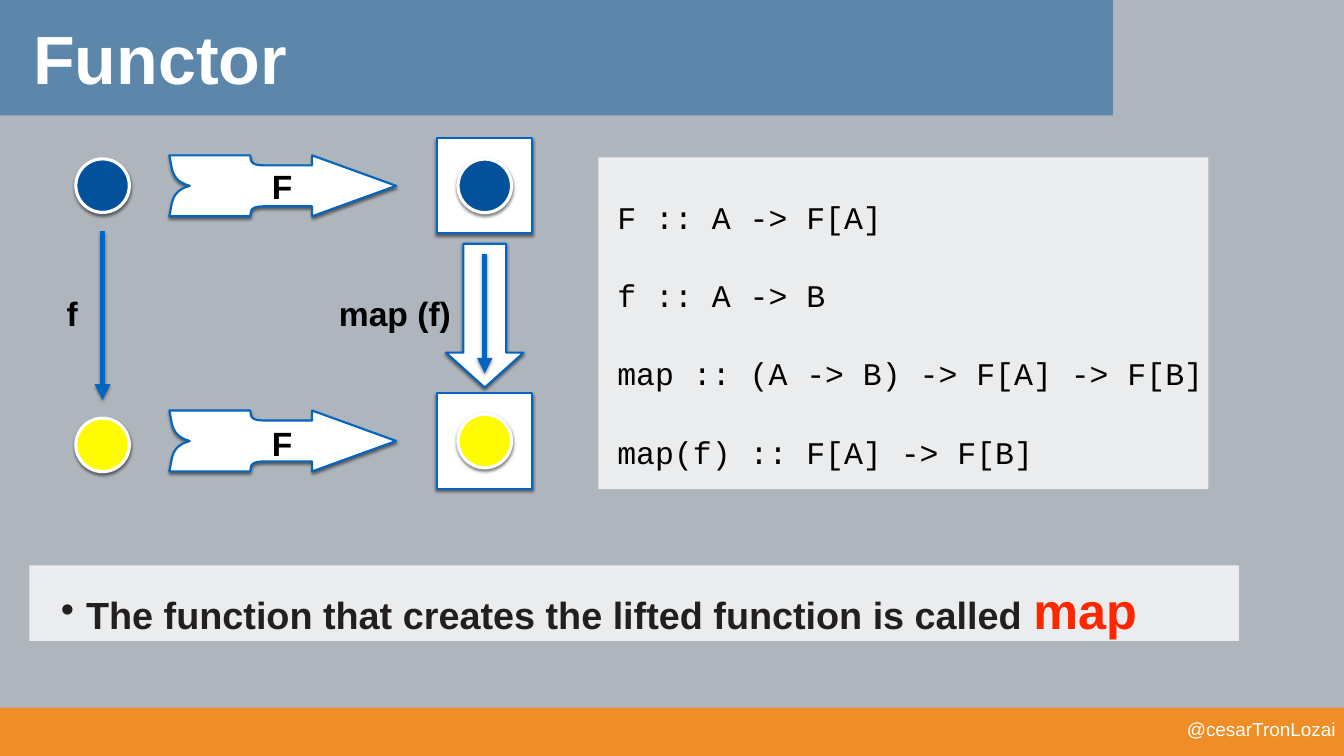
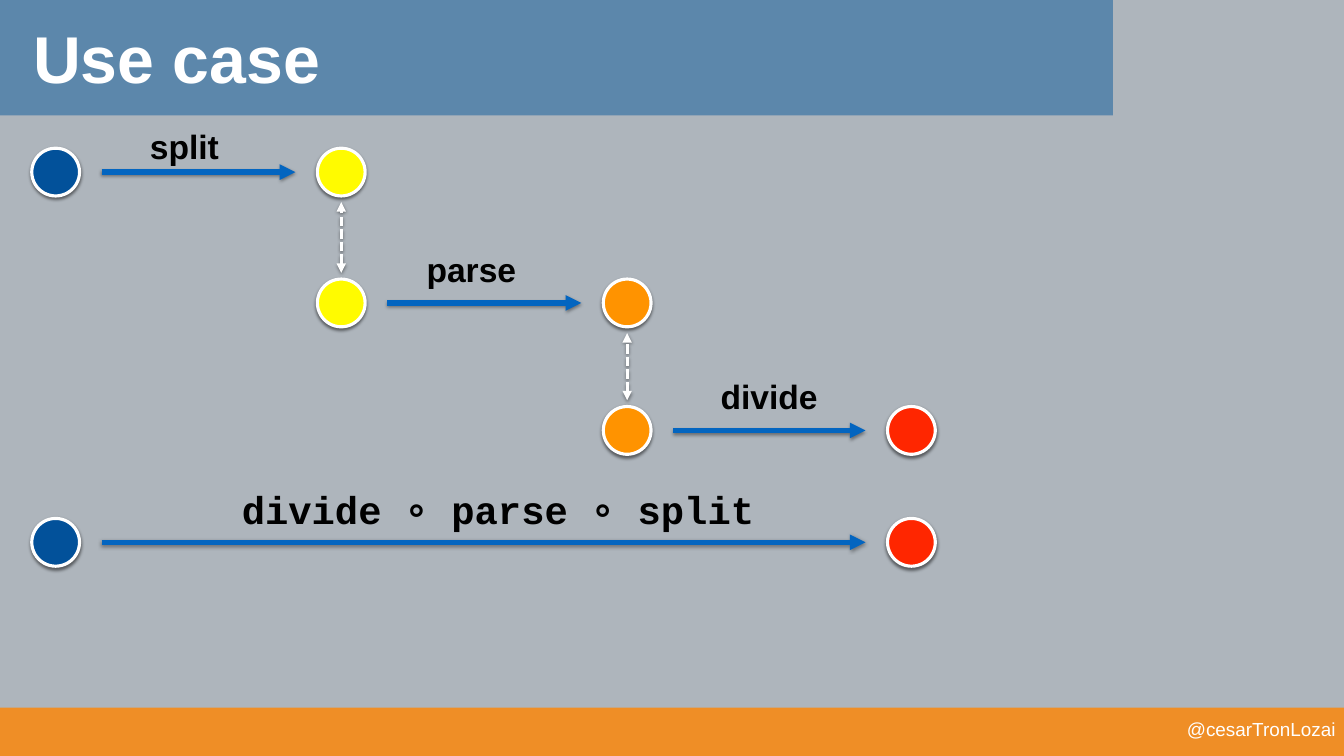
"""Build two slides on functors and on composing functions."""
from pptx import Presentation
from pptx.dml.color import RGBColor
from pptx.enum.dml import MSO_LINE
from pptx.enum.shapes import MSO_CONNECTOR, MSO_SHAPE
from pptx.enum.text import MSO_ANCHOR, MSO_AUTO_SIZE, PP_ALIGN
from pptx.oxml.ns import qn
from pptx.oxml.xmlchemy import OxmlElement
from pptx.util import Pt

RECTANGLE, OVAL, DOWN_ARROW = MSO_SHAPE.RECTANGLE, MSO_SHAPE.OVAL, MSO_SHAPE.DOWN_ARROW
STRAIGHT, DASHED = MSO_CONNECTOR.STRAIGHT, MSO_LINE.SQUARE_DOT
LEFT, CENTER, RIGHT = PP_ALIGN.LEFT, PP_ALIGN.CENTER, PP_ALIGN.RIGHT
TOP, MIDDLE = MSO_ANCHOR.TOP, MSO_ANCHOR.MIDDLE
NO_AUTOFIT = MSO_AUTO_SIZE.NONE

COLORS = {
    "background": "AEB5BC", "title_band": "5C87AB", "footer_band": "EF8E26",
    "white": "FFFFFF", "black": "000000", "body": "231F21", "edge": "0365C0",
    "blue": "02519A", "yellow": "FFFB00", "orange": "FF9300", "red": "FF2600",
}
SANS, MONO = "Arial", "Courier New"
SLIDE_SIZE = (1280, 720)
BANDS = [("title_band", (0, -1.5, 1060, 111.5)), ("footer_band", (0, 674, 1284, 49))]
FOOTER, FOOTER_BOX = "@cesarTronLozai", (713.5, 684, 558.5, 20)
TITLE_BOX = (28, -24.5, 1152, 158.5)

SIGNATURES = ["F :: A -> F[A]", "f :: A -> B",
              "map :: (A -> B) -> F[A] -> F[B]", "map(f) :: F[A] -> F[B]"]
SIGNATURE_BOX = (570, 149.8, 581, 316)
SUMMARY = [("The function that creates the lifted function is called ", {}),
           ("map", {"size": 48, "color": "red"})]
SUMMARY_BOX = (28, 538.5, 1152, 72)
OBJECT_X, LIFTED_X, FUNCTOR_LEFT = 97.7, 461.7, 161.3
OBJECT_SIZE, LIFTED_SIZE = 51, 90.7
FUNCTOR_ROWS = [
    {"color": "blue", "object_y": 176.8, "lifted_y": 177, "label_y": 176.8},
    {"color": "yellow", "object_y": 423.7, "lifted_y": 420, "label_y": 421.6},
]
MORPHISMS = [("f", 68.8, 19.5), ("map (f)", 376.2, 116)]
MORPHISM_Y = 298.4

STAGES = [("blue", 53), ("yellow", 325), ("orange", 597.3), ("red", 868)]
STEPS = [
    {"label": "split", "y": 163.9, "label_at": (175.7, 139.5), "width": 75},
    {"label": "parse", "y": 288.5, "label_at": (449, 256.7), "width": 94},
    {"label": "divide", "y": 409.9, "label_at": (732.6, 377.6), "width": 101.5},
]
COMPOSITION, COMPOSITION_Y = "divide ∘ parse ∘ split", 516.5
COMPOSITION_BOX = (212.4, 462.2, 520, 58.3)
STAGE_SIZE, ARROW_GAP, LINK_GAP = 45.5, 43.7, 28.7


def rgb(name):
    return RGBColor.from_string(COLORS[name])


def points(values):
    return [Pt(value) for value in values]


def centered(x, y, width, height):
    return x - width / 2, y - height / 2, width, height


def add_xml(parent, tag, **attributes):
    child = OxmlElement(tag)
    for name, value in attributes.items():
        child.set(name, str(value))
    parent.append(child)
    return child


def add_effects(shape, opacity=0, distance=2):
    effects = add_xml(shape.element.spPr, "a:effectLst")
    if opacity:
        shadow = add_xml(effects, "a:outerShdw", blurRad=Pt(3), dist=Pt(distance),
                         dir=90 * 60000, rotWithShape=0)
        color = add_xml(shadow, "a:srgbClr", val=COLORS["black"])
        add_xml(color, "a:alpha", val=opacity * 1000)


def paint(shape, fill, line=None, width=2, opacity=100):
    shape.fill.solid()
    shape.fill.fore_color.rgb = rgb(fill)
    if opacity < 100:
        fill_color = next(shape.element.spPr.iter(qn("a:srgbClr")))
        add_xml(fill_color, "a:alpha", val=opacity * 1000)
    if line:
        shape.line.color.rgb = rgb(line)
        shape.line.width = Pt(width)
    else:
        shape.line.fill.background()
    add_effects(shape, opacity=50 if line else 0)
    return shape


def add_painted(slide, kind, box, fill, **style):
    return paint(slide.shapes.add_shape(kind, *points(box)), fill, **style)


def add_circle(slide, x, y, size, fill):
    add_painted(slide, OVAL, centered(x, y, size, size), fill, line="white", width=3)


def write(shape, lines, size=32, color="black", font=SANS, bold=True, align=LEFT,
          anchor=MIDDLE, insets=(0, 0, 0, 0), wrap=True, gap=0, spacing=None, bullet=None):
    frame = shape.text_frame
    frame.auto_size = NO_AUTOFIT
    frame.word_wrap = wrap
    frame.vertical_anchor = anchor
    (frame.margin_left, frame.margin_top,
     frame.margin_right, frame.margin_bottom) = points(insets)
    for index, line in enumerate(lines):
        paragraph = frame.add_paragraph() if index else frame.paragraphs[0]
        paragraph.alignment = align
        paragraph.space_before = Pt(gap if index else 0)
        if spacing:
            paragraph.line_spacing = spacing
        if bullet:
            properties = paragraph.element.get_or_add_pPr() if hasattr(
                paragraph, "element") else paragraph._p.get_or_add_pPr()
            properties.set("marL", str(Pt(54)))
            properties.set("indent", str(Pt(-24)))
            add_xml(properties, "a:buFont", typeface=font)
            add_xml(properties, "a:buChar", char=bullet)
        for text, changes in [(line, {})] if isinstance(line, str) else line:
            run = paragraph.add_run()
            run.text = text
            run.font.name = font
            run.font.bold = bold
            run.font.size = Pt(changes.get("size", size))
            run.font.color.rgb = rgb(changes.get("color", color))


def add_text(slide, text, box, **style):
    shape = slide.shapes.add_textbox(*points(box))
    write(shape, [text], **style)
    return shape


def add_label(slide, text, x, y, width):
    add_text(slide, text, centered(x, y, width, 44), align=CENTER,
             insets=(4, 4, 4, 4), wrap=False)


def add_arrow(slide, start, end, color="edge", width=5, both_ways=False):
    arrow = slide.shapes.add_connector(STRAIGHT, *points(start + end))
    arrow.line.color.rgb = rgb(color)
    arrow.line.width = Pt(width)
    if both_ways:
        arrow.line.dash_style = DASHED
        add_xml(arrow.line._get_or_add_ln(), "a:headEnd", type="triangle")
    add_xml(arrow.line._get_or_add_ln(), "a:tailEnd", type="triangle")
    add_effects(arrow, opacity=38, distance=1.6)


def bezier(start, control_1, control_2, end, count=12):
    curve = []
    for step in range(count + 1):
        t = step / count
        weights = ((1 - t) ** 3, 3 * t * (1 - t) ** 2, 3 * t * t * (1 - t), t ** 3)
        corners = (start, control_1, control_2, end)
        curve.append(tuple(sum(weight * corner[axis] for weight, corner
                               in zip(weights, corners)) for axis in (0, 1)))
    return curve


def add_functor_arrow(slide, left, middle):
    upper = [(216, 0), (136, -29), (136, -19.5)]
    upper += bezier((90.5, -19.5), (76.5, -19.5), (78, -24), (77, -29))
    upper += bezier((0, -29), (3, -17), (1, -5), (19.5, 0))
    lower = [(x, -y) for x, y in reversed(upper[1:-1])]
    outline = [tuple(points((left + x, middle + y))) for x, y in upper + lower]
    builder = slide.shapes.build_freeform(*outline[0])
    builder.add_line_segments(outline[1:], close=True)
    paint(builder.convert_to_shape(), "white", line="edge")


def place(shape, box):
    shape.left, shape.top, shape.width, shape.height = points(box)


def set_title(slide, text, size):
    place(slide.shapes.title, TITLE_BOX)
    write(slide.shapes.title, [text], size=size, color="white", insets=(3.6,) * 4)


def decorate_master(presentation, slide):
    master = presentation.slide_master
    master.background.fill.solid()
    master.background.fill.fore_color.rgb = rgb("background")
    shared = [add_painted(slide, RECTANGLE, box, color) for color, box in BANDS]
    shared.append(add_text(slide, FOOTER, FOOTER_BOX, size=18, color="white",
                           bold=False, align=RIGHT))
    for position, shape in enumerate(shared, start=2):
        master.shapes.element.insert(position, shape.element)


def build_functor(slide):
    set_title(slide, "Functor", 65)
    summary = slide.placeholders[1]
    place(summary, SUMMARY_BOX)
    paint(summary, "white", opacity=75)
    write(summary, [SUMMARY], size=36, color="body", spacing=1.2, bullet="•")
    signatures = add_painted(slide, RECTANGLE, SIGNATURE_BOX, "white", opacity=75)
    write(signatures, SIGNATURES, size=30, font=MONO, bold=False, anchor=TOP,
          insets=(18, 39, 0, 0), gap=38.4)
    lift = add_painted(slide, DOWN_ARROW, centered(LIFTED_X, 300.6, 74, 137),
                       "white", line="edge")
    lift.adjustments[0], lift.adjustments[1] = 0.55, 0.45
    add_arrow(slide, (LIFTED_X, 242), (LIFTED_X, 355.7))
    add_arrow(slide, (OBJECT_X, 220.3), (OBJECT_X, 380.9))
    for text, x, width in MORPHISMS:
        add_label(slide, text, x, MORPHISM_Y, width)
    for row in FUNCTOR_ROWS:
        add_circle(slide, OBJECT_X, row["object_y"], OBJECT_SIZE, row["color"])
        add_functor_arrow(slide, FUNCTOR_LEFT, row["lifted_y"])
        add_label(slide, "F", 268.6, row["label_y"], 29)
        box = centered(LIFTED_X, row["lifted_y"], LIFTED_SIZE, LIFTED_SIZE)
        add_painted(slide, RECTANGLE, box, "white", line="edge")
        add_circle(slide, LIFTED_X, row["lifted_y"], OBJECT_SIZE, row["color"])


def add_step(slide, source, target, y):
    for color, x in (source, target):
        add_circle(slide, x, y, STAGE_SIZE, color)
    add_arrow(slide, (source[1] + ARROW_GAP, y), (target[1] - ARROW_GAP, y))


def build_use_case(slide):
    set_title(slide, "Use case", 63)
    for step, source, target in zip(STEPS, STAGES, STAGES[1:]):
        add_step(slide, source, target, step["y"])
        add_label(slide, step["label"], *step["label_at"], step["width"])
    for upper, lower, (_, x) in zip(STEPS, STEPS[1:], STAGES[1:]):
        add_arrow(slide, (x, lower["y"] - LINK_GAP), (x, upper["y"] + LINK_GAP),
                  color="white", width=3, both_ways=True)
    add_step(slide, STAGES[0], STAGES[-1], COMPOSITION_Y)
    add_text(slide, COMPOSITION, COMPOSITION_BOX, size=37, font=MONO,
             anchor=TOP, insets=(18, 0, 0, 0))


def main():
    presentation = Presentation()
    presentation.slide_width, presentation.slide_height = points(SLIDE_SIZE)
    title_and_content, title_only = (presentation.slide_layouts[i] for i in (1, 5))
    functor = presentation.slides.add_slide(title_and_content)
    decorate_master(presentation, functor)
    build_functor(functor)
    build_use_case(presentation.slides.add_slide(title_only))
    presentation.save("out.pptx")


if __name__ == "__main__":
    main()
